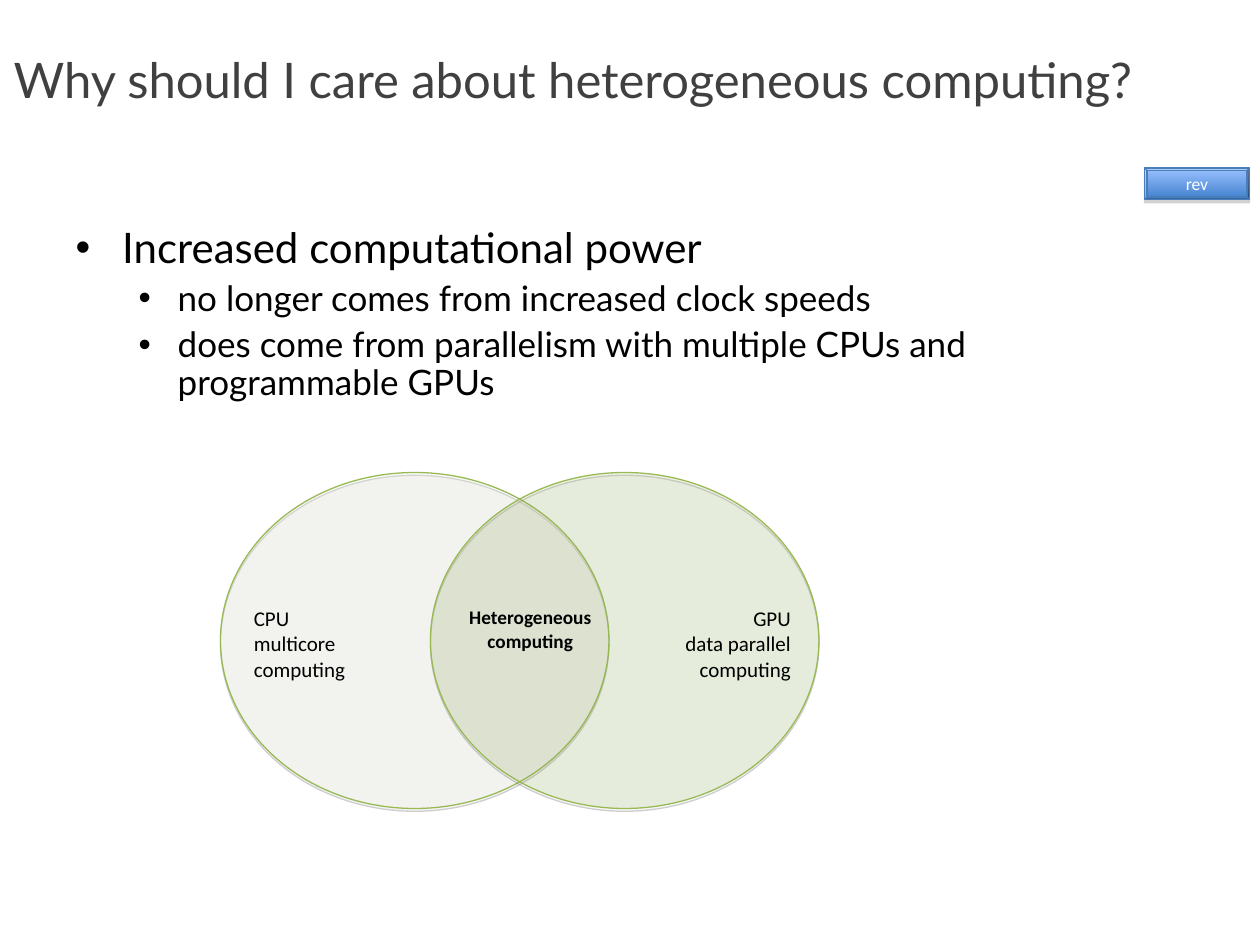
from lxml.etree import SubElement
from pptx import Presentation
from pptx.dml.color import RGBColor
from pptx.enum.shapes import MSO_SHAPE as Preset
from pptx.enum.text import MSO_ANCHOR as Anchor, MSO_AUTO_SIZE as AutoSize, PP_ALIGN as Align
from pptx.oxml.ns import qn
from pptx.util import Inches, Pt

COLORS = {
    "title": "404040", "text": "000000", "button_text": "FFFFFF",
    "button_top": "9BC1FF", "button_bottom": "3F80CD", "button_line": "4A7EBB",
    "cpu": "EBF1DE", "gpu": "9BBB59", "circle_line": "98B954", "shadow": "808080",
}
COLUMNS, ROWS = 120, 90

deck = Presentation()
deck.slide_width, deck.slide_height = Inches(10), Inches(7.5)
slide = deck.slides.add_slide(deck.slide_layouts[1])
column, row = deck.slide_width / COLUMNS, deck.slide_height / ROWS


def grid(left, top, width, height):
    """Turn grid columns and rows into left, top, width and height."""
    return [round(n * unit) for n, unit in zip((left, top, width, height), (column, row) * 2)]


def outline_and_shadow(shape, line, opacity, distance):
    """Give a shape a thin line and a hard shadow straight below it."""
    shape.line.color.rgb = RGBColor.from_string(COLORS[line])
    shape.line.width = Pt(0.75)
    shape.shadow.inherit = False
    effects = shape.element.spPr.find(qn("a:effectLst"))
    shadow = SubElement(effects, qn("a:outerShdw"), blurRad="0", dist=str(Pt(distance)),
                        dir="5400000", rotWithShape="0")
    tint = SubElement(shadow, qn("a:srgbClr"), val=COLORS["shadow"])
    SubElement(tint, qn("a:alpha"), val=str(opacity * 1000))


# Title
title = slide.shapes.title
title.left, title.top, title.width, title.height = grid(0.1, 0, 119.9, 15)
title.text = "Why should I care about heterogeneous computing?"
title.text_frame.auto_size = AutoSize.NONE
title.text_frame.vertical_anchor = Anchor.MIDDLE
heading = title.text_frame.paragraphs[0]
heading.alignment = Align.LEFT
heading.font.name, heading.font.size = "Lato", Pt(28)
heading.font.color.rgb = RGBColor.from_string(COLORS["title"])

# Bulleted list
reasons = [
    (0, "Increased computational power"),
    (1, "no longer comes from increased clock speeds"),
    (1, "does come from parallelism with multiple CPUs and programmable GPUs"),
]
level_formats = [
    {"size": 24, "margin": 0.37, "hanging": 0.37},
    {"size": 20, "margin": 0.81, "hanging": 0.31},
]
body = slide.placeholders[1]
body.left, body.top, body.width, body.height = grid(6, 21, 108, 18)
body.text_frame.text = "\n".join(text for _, text in reasons)
body.text_frame.auto_size = AutoSize.NONE
for index, (level, _) in enumerate(reasons):
    reason, style = body.text_frame.paragraphs[index], level_formats[level]
    reason.level, reason.line_spacing = level, 0.9
    reason.space_before = Pt(5 if index else 0)
    props = reason._p.get_or_add_pPr()
    props.set("marL", str(Inches(style["margin"])))
    props.set("indent", str(-Inches(style["hanging"])))
    SubElement(SubElement(props, qn("a:buClr")), qn("a:srgbClr"), val=COLORS["text"])
    SubElement(props, qn("a:buFont"), typeface="Arial")
    SubElement(props, qn("a:buChar"), char="•")
    reason.font.name, reason.font.size = "Lato", Pt(style["size"])
    reason.font.color.rgb = RGBColor.from_string(COLORS["text"])

# Button
button = slide.shapes.add_shape(Preset.BEVEL, *grid(109, 16, 10, 3))
button.adjustments[0] = 0.08
button.fill.gradient()
button.fill.gradient_angle = 270
for stop, color in zip(button.fill.gradient_stops, ("button_top", "button_bottom")):
    stop.color.rgb = RGBColor.from_string(COLORS[color])
outline_and_shadow(button, "button_line", 35, 1.8)
button.text_frame.text = "rev"
button.text_frame.vertical_anchor = Anchor.MIDDLE
caption = button.text_frame.paragraphs[0]
caption.alignment = Align.CENTER
caption.font.name, caption.font.size = "Calibri", Pt(10)
caption.font.color.rgb = RGBColor.from_string(COLORS["button_text"])

# Overlapping circles
for left, color, opacity in ((21, "cpu", 21), (41, "gpu", 17)):
    circle = slide.shapes.add_shape(Preset.OVAL, *grid(left, 45, 37, 32))
    circle.fill.solid()
    circle.fill.fore_color.rgb = RGBColor.from_string(COLORS[color])
    tint = circle.element.spPr.find(qn("a:solidFill"))[0]
    SubElement(tint, qn("a:alpha"), val=str(opacity * 1000))
    outline_and_shadow(circle, "circle_line", 38, 1.6)

# Circle labels
labels = [
    (23, 12, 8.4, "CPU\nmulticore\ncomputing", Align.LEFT, {"size": Pt(12)}),
    (64, 12.5, 8.4, "GPU\ndata parallel\ncomputing", Align.RIGHT, {"size": Pt(12)}),
    (43.5, 14, 7.8, "Heterogeneous\ncomputing", Align.CENTER, {"size": Pt(11), "bold": True}),
]
for left, width, height, text, alignment, font_format in labels:
    label = slide.shapes.add_textbox(*grid(left, 57.1, width, height)).text_frame
    label.text = text
    label.word_wrap = False
    label.auto_size = AutoSize.SHAPE_TO_FIT_TEXT
    for line in label.paragraphs:
        line.alignment = alignment
        line.font.name = "Calibri"
        line.font.color.rgb = RGBColor.from_string(COLORS["text"])
        for name, value in font_format.items():
            setattr(line.font, name, value)

deck.save("out.pptx")
